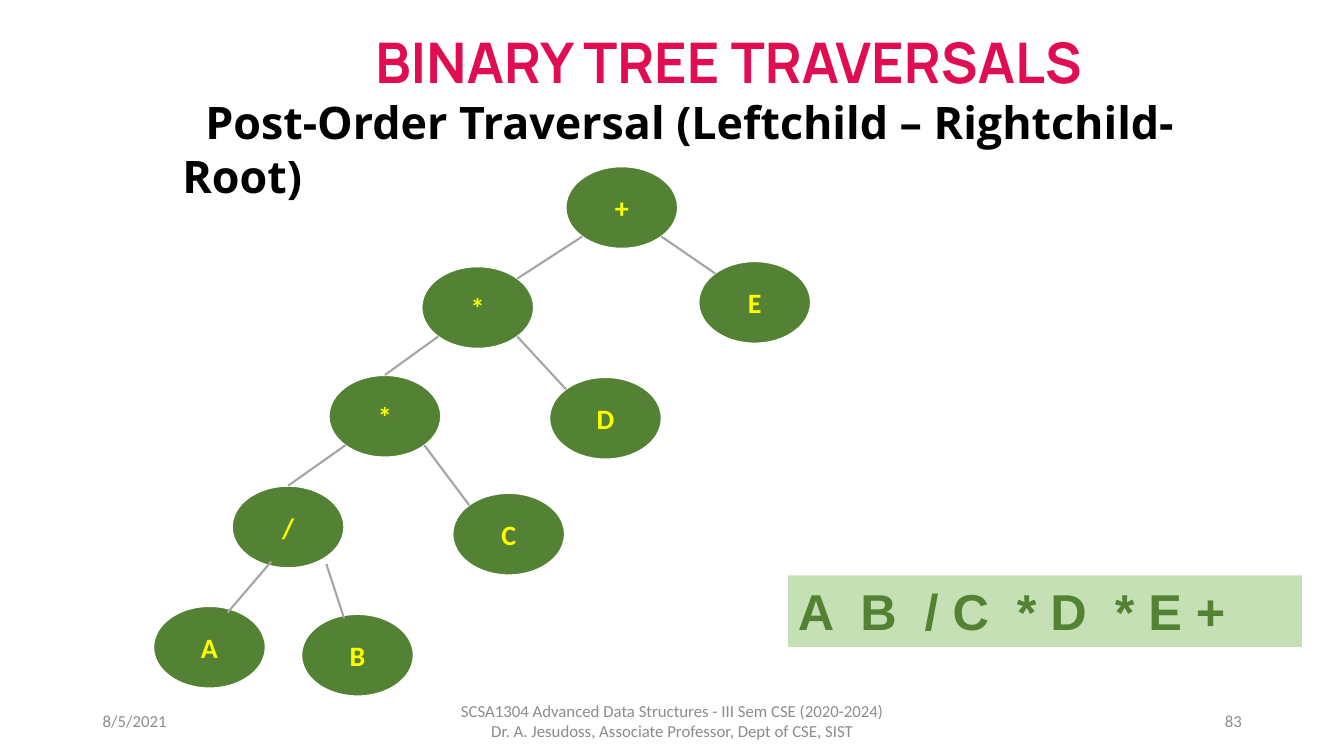
from dataclasses import dataclass

from lxml import etree
from pptx import Presentation
from pptx.dml.color import RGBColor
from pptx.enum.shapes import MSO_CONNECTOR, MSO_SHAPE
from pptx.enum.text import MSO_ANCHOR, MSO_AUTO_SIZE, PP_ALIGN
from pptx.oxml.ns import qn
from pptx.slide import Slide
from pptx.text.text import _Paragraph
from pptx.util import Cm, Pt

LEFT, CENTER, RIGHT = PP_ALIGN.LEFT, PP_ALIGN.CENTER, PP_ALIGN.RIGHT
TOP, MIDDLE = MSO_ANCHOR.TOP, MSO_ANCHOR.MIDDLE
NO_AUTOFIT = MSO_AUTO_SIZE.NONE
ELLIPSE, RECTANGLE = MSO_SHAPE.OVAL, MSO_SHAPE.RECTANGLE
STRAIGHT = MSO_CONNECTOR.STRAIGHT


@dataclass(frozen=True)
class TextStyle:
    font: str
    size: int
    color: str
    bold: bool = True


@dataclass(frozen=True)
class Theme:
    title: TextStyle = TextStyle("Manrope", 40, "E00D50")
    subtitle: TextStyle = TextStyle("Open Sans", 32, "000000")
    node: TextStyle = TextStyle("Calibri", 20, "FFFF00")
    result: TextStyle = TextStyle("Arial", 36, "548235")
    footer: TextStyle = TextStyle("Calibri", 12, "8C8C8C", False)
    node_fill: str = "548235"
    node_outline: str = "FFFFFF"
    result_fill: str = "C5E0B4"
    edge: str = "A5A5A5"
    line_width: float = 1.5


@dataclass(frozen=True)
class Node:
    """A tree node with its top left corner in centimetres."""
    label: str
    left: float
    top: float


@dataclass(frozen=True)
class Edge:
    """A branch; its ends are fractions of the node's width and height."""
    parent: Node
    child: Node
    start: tuple[float, float]
    end: tuple[float, float]


@dataclass(frozen=True)
class FooterPart:
    text: str
    left: float
    width: float
    align: PP_ALIGN


THEME = Theme()
NODE_WIDTH, NODE_HEIGHT = 2.84, 2.08

PLUS = Node("+", 14.25, 4.19)
UPPER_TIMES = Node("*", 10.62, 6.71)
E = Node("E", 17.6, 6.58)
LOWER_TIMES = Node("*", 8.28, 9.45)
D = Node("D", 13.84, 9.5)
DIVIDE = Node("/", 5.84, 12.24)
C = Node("C", 11.4, 12.42)
A = Node("A", 3.86, 15.27)
B = Node("B", 7.59, 15.47)
NODES = [PLUS, UPPER_TIMES, E, LOWER_TIMES, D, DIVIDE, C, A, B]

LOWER_LEFT, LOWER_RIGHT = (0.15, 0.85), (0.85, 0.85)
UPPER_LEFT, UPPER_RIGHT, TOP_MIDDLE = (0.15, 0.15), (0.85, 0.15), (0.5, 0)
EDGES = [
    Edge(PLUS, UPPER_TIMES, LOWER_LEFT, UPPER_RIGHT),
    Edge(PLUS, E, LOWER_RIGHT, UPPER_LEFT),
    Edge(UPPER_TIMES, LOWER_TIMES, LOWER_LEFT, TOP_MIDDLE),
    Edge(UPPER_TIMES, D, LOWER_RIGHT, UPPER_LEFT),
    Edge(LOWER_TIMES, DIVIDE, LOWER_LEFT, TOP_MIDDLE),
    Edge(LOWER_TIMES, C, LOWER_RIGHT, UPPER_LEFT),
    Edge(DIVIDE, A, (0.35, 0.92), (0.66, 0.08)),
    Edge(DIVIDE, B, (0.84, 0.95), (0.38, 0.05)),
]

FOOTER_PARTS = [
    FooterPart("8/5/2021", 2.34, 7.62, LEFT),
    FooterPart("SCSA1304 Advanced Data Structures - III Sem CSE (2020-2024) "
               "Dr. A. Jesudoss, Associate Professor, Dept of CSE, SIST",
               11.23, 11.43, CENTER),
    FooterPart("83", 23.93, 7.62, RIGHT),
]


def write(paragraph: _Paragraph, text: str, style: TextStyle, align: PP_ALIGN) -> None:
    paragraph.text = text
    paragraph.alignment = align
    for run in paragraph.runs:
        run.font.name = style.font
        run.font.size = Pt(style.size)
        run.font.bold = style.bold
        run.font.color.rgb = RGBColor.from_string(style.color)


def add_heading(slide: Slide) -> None:
    title = slide.shapes.title
    title.left, title.top = Cm(4.34), Cm(0.56)
    title.width, title.height = Cm(28.04), Cm(6.4)
    frame = title.text_frame
    frame.word_wrap = True
    frame.auto_size = NO_AUTOFIT
    frame.vertical_anchor = TOP
    write(frame.paragraphs[0], "BINARY TREE TRAVERSALS", THEME.title, CENTER)
    subtitle = frame.add_paragraph()
    write(subtitle, "Post-Order Traversal (Leftchild – Rightchild- Root)",
          THEME.subtitle, LEFT)
    subtitle._p.get_or_add_pPr().set("indent", str(Cm(0.58)))
    for paragraph in frame.paragraphs:
        paragraph.line_spacing = 1.0


def add_node(slide: Slide, node: Node) -> None:
    ellipse = slide.shapes.add_shape(ELLIPSE, Cm(node.left), Cm(node.top),
                                     Cm(NODE_WIDTH), Cm(NODE_HEIGHT))
    ellipse.shadow.inherit = False
    ellipse.fill.solid()
    ellipse.fill.fore_color.rgb = RGBColor.from_string(THEME.node_fill)
    ellipse.line.color.rgb = RGBColor.from_string(THEME.node_outline)
    ellipse.line.width = Pt(THEME.line_width)
    ellipse.text_frame.vertical_anchor = MIDDLE
    write(ellipse.text_frame.paragraphs[0], node.label, THEME.node, CENTER)


def point_on(node: Node, fraction: tuple[float, float]) -> tuple[Cm, Cm]:
    across, down = fraction
    return Cm(node.left + across * NODE_WIDTH), Cm(node.top + down * NODE_HEIGHT)


def add_edge(slide: Slide, edge: Edge) -> None:
    branch = slide.shapes.add_connector(STRAIGHT, *point_on(edge.parent, edge.start),
                                        *point_on(edge.child, edge.end))
    branch.line.color.rgb = RGBColor.from_string(THEME.edge)
    branch.line.width = Pt(THEME.line_width)
    etree.SubElement(branch._element.spPr, qn("a:effectLst"))


def add_result(slide: Slide) -> None:
    result = slide.shapes.add_shape(RECTANGLE, Cm(19.86), Cm(14.5), Cm(12.95), Cm(1.8))
    result.shadow.inherit = False
    result.fill.solid()
    result.fill.fore_color.rgb = RGBColor.from_string(THEME.result_fill)
    result.line.fill.background()
    result.text_frame.word_wrap = True
    result.text_frame.vertical_anchor = TOP
    write(result.text_frame.paragraphs[0], "A  B  / C  * D  * E +", THEME.result, LEFT)


def add_footer_part(slide: Slide, part: FooterPart) -> None:
    box = slide.shapes.add_textbox(Cm(part.left), Cm(17.65), Cm(part.width), Cm(1.02))
    box.text_frame.word_wrap = True
    box.text_frame.vertical_anchor = MIDDLE
    write(box.text_frame.paragraphs[0], part.text, THEME.footer, part.align)


def main() -> None:
    presentation = Presentation()
    presentation.slide_width, presentation.slide_height = Cm(33.87), Cm(19.05)
    title_only = presentation.slide_layouts[5]
    slide = presentation.slides.add_slide(title_only)
    add_heading(slide)
    for node in NODES:
        add_node(slide, node)
    for edge in EDGES:
        add_edge(slide, edge)
    add_result(slide)
    for part in FOOTER_PARTS:
        add_footer_part(slide, part)
    presentation.save("out.pptx")


if __name__ == "__main__":
    main()
